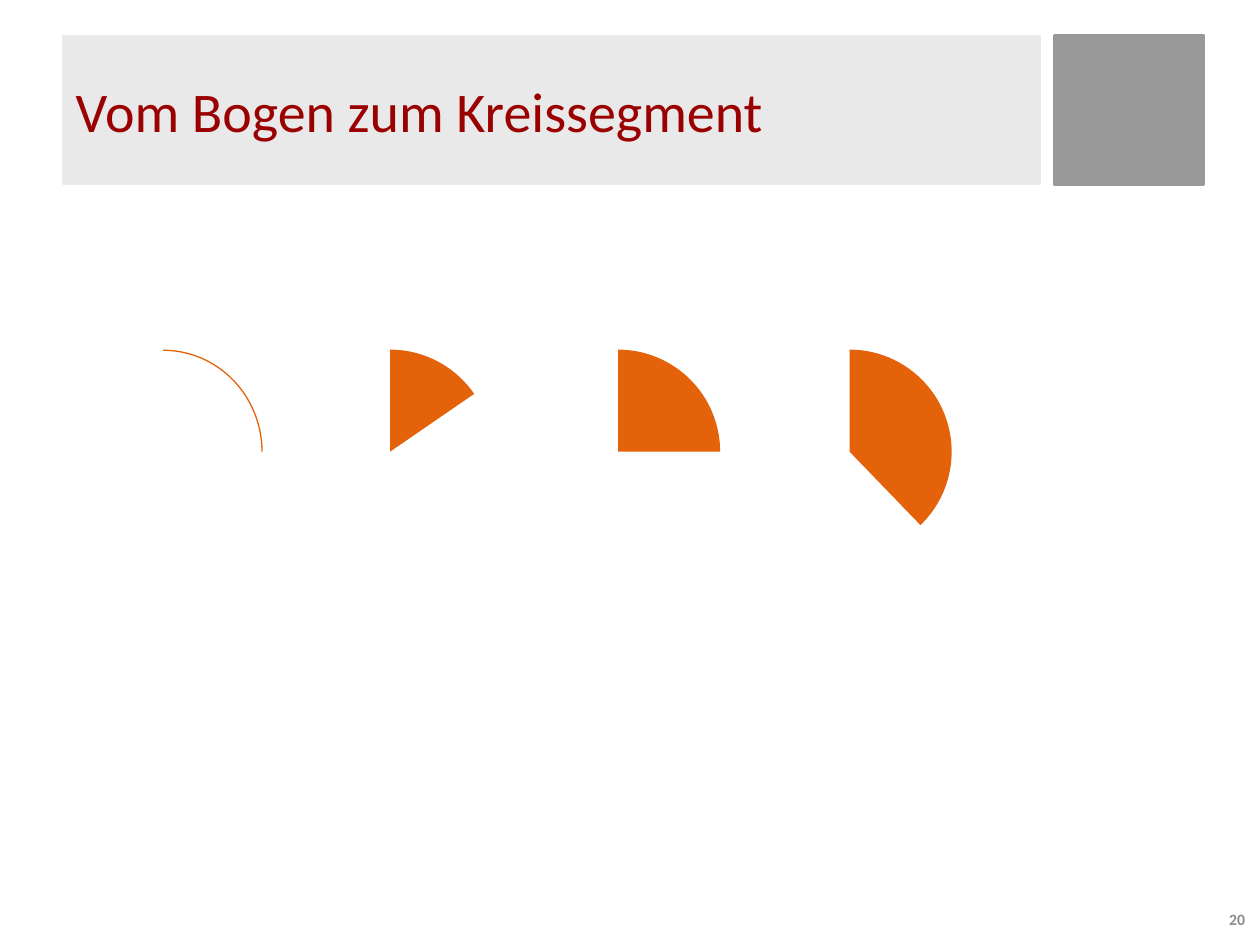
from dataclasses import dataclass

from pptx import Presentation
from pptx.dml.color import RGBColor
from pptx.enum.shapes import MSO_SHAPE
from pptx.enum.text import MSO_ANCHOR, PP_ALIGN
from pptx.util import Inches, Pt

WIDTH, HEIGHT = 10, 7.5
TITLE_ONLY = 5
DEGREE = 0.6


@dataclass(frozen=True)
class Theme:
    """Colours and type sizes of the slide."""

    font: str = "Calibri"
    title_color: str = "9A0000"
    band: str = "E9E9E9"
    block: str = "999999"
    accent: str = "E3620A"
    muted: str = "8C8C8C"
    title_size: int = 32
    number_size: int = 9
    outline: float = 0.75


THEME = Theme()


def write(shape, text, *, size, color, bold=False, align=PP_ALIGN.LEFT):
    """Put one formatted, vertically centred paragraph into a shape."""
    frame = shape.text_frame
    frame.word_wrap = True
    frame.vertical_anchor = MSO_ANCHOR.MIDDLE
    paragraph = frame.paragraphs[0]
    paragraph.alignment = align
    run = paragraph.add_run()
    run.text = text
    run.font.name = THEME.font
    run.font.size = Pt(size)
    run.font.bold = bold
    run.font.color.rgb = RGBColor.from_string(color)


def paint(shape, *, line, fill=None, width=THEME.outline):
    """Set the outline of a shape and its fill, if it has one."""
    if fill:
        shape.fill.solid()
        shape.fill.fore_color.rgb = RGBColor.from_string(fill)
    else:
        shape.fill.background()
    shape.line.color.rgb = RGBColor.from_string(line)
    shape.line.width = Pt(width)


def add_preset(slide, preset, box):
    """Add a preset shape without shadow in a box given in inches."""
    shape = slide.shapes.add_shape(preset, *map(Inches, box))
    shape.shadow.inherit = False
    return shape


def build_header(slide, box, title):
    """Place the title band and the square block at its right end."""
    left, top, width, height = box
    gap = 0.11
    block = add_preset(slide, MSO_SHAPE.RECTANGLE,
                       (left + width - height, top, height, height))
    paint(block, fill=THEME.block, line=THEME.block, width=2)
    band = slide.shapes.title
    band.left, band.top, band.width, band.height = map(
        Inches, (left, top, width - height - gap, height))
    paint(band, fill=THEME.band, line=THEME.band)
    write(band, title, size=THEME.title_size, color=THEME.title_color)


def build_arcs(slide, box):
    """Show an open arc followed by segments with growing end angles."""
    left, top, width, side = box
    arcs = (
        (0, 0.975, 0, None),
        (0.253, 1, 325.5, THEME.accent),
        (0.51, 1, 0, THEME.accent),
        (0.771, 1, 46, THEME.accent),
    )
    for share, stretch, end, fill in arcs:
        arc = add_preset(slide, MSO_SHAPE.ARC,
                         (left + share * width, top, stretch * side, side))
        arc.adjustments[0] = 270 * DEGREE
        arc.adjustments[1] = end * DEGREE
        paint(arc, fill=fill, line=THEME.accent)


def build_page_number(slide, box, number):
    """Place the page number in the bottom right corner."""
    corner = slide.shapes.add_textbox(*map(Inches, box))
    write(corner, number, size=THEME.number_size, color=THEME.muted,
          bold=True, align=PP_ALIGN.RIGHT)


def main():
    """Build the slide and save it."""
    deck = Presentation()
    deck.slide_width, deck.slide_height = Inches(WIDTH), Inches(HEIGHT)
    slide = deck.slides.add_slide(deck.slide_layouts[TITLE_ONLY])
    build_header(slide, (0.05 * WIDTH, 0.28, 0.905 * WIDTH, 1.18),
                 "Vom Bogen zum Kreissegment")
    build_arcs(slide, (0.51, 2.78, 7.04, 1.61))
    build_page_number(slide, (9.18, 7.14, 0.08 * WIDTH, 0.31), "20")
    deck.save("out.pptx")


if __name__ == "__main__":
    main()
